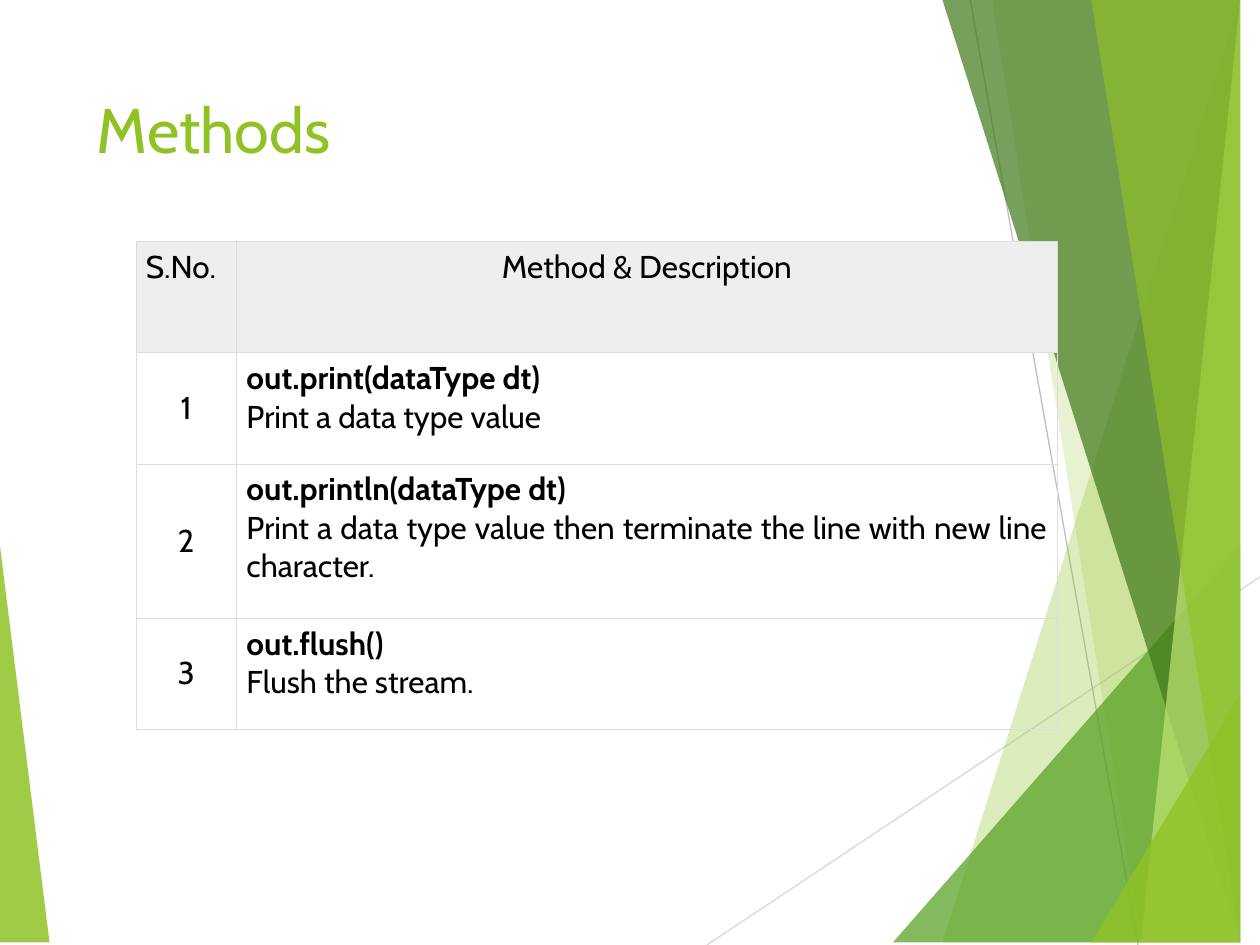
from lxml import etree
from pptx import Presentation
from pptx.dml.color import RGBColor
from pptx.enum.shapes import MSO_CONNECTOR
from pptx.enum.text import MSO_ANCHOR, PP_ALIGN
from pptx.oxml.ns import qn
from pptx.util import Cm, Pt

STRAIGHT = MSO_CONNECTOR.STRAIGHT
TOP, MIDDLE = MSO_ANCHOR.TOP, MSO_ANCHOR.MIDDLE
LEFT, CENTER, JUSTIFY = PP_ALIGN.LEFT, PP_ALIGN.CENTER, PP_ALIGN.JUSTIFY
FONT = "Cabin"
COLORS = {
    "lime": "90C226", "green": "54A021", "forest": "3F7819", "pale": "C0E474",
    "ray_light": "D9D9D9", "ray_dark": "BFBFBF",
    "text": "000000", "header": "EEEEEE", "border": "DDDDDD",
}
W, H = 25.4, 19.05
R, T = 25.43, -0.03  # facets run slightly past the right and top edges


def add_facet(s, color, alpha, points):
    builder = s.shapes.build_freeform(*points[0], scale=Cm(1))
    builder.add_line_segments(points[1:], close=True)
    sp = builder.convert_to_shape()
    sp.shadow.inherit = False
    sp.fill.solid()
    sp.fill.fore_color.rgb = RGBColor.from_string(COLORS[color])
    clr = sp.fill._xPr.find(qn("a:solidFill"))[0]
    etree.SubElement(clr, qn("a:alpha"), val=str(alpha * 1000))
    sp.line.fill.background()


def add_run(p, text, size, color, bold=False):
    r = p.add_run()
    r.text = text
    r.font.name, r.font.size, r.font.bold = FONT, Pt(size), bold
    r.font.color.rgb = RGBColor.from_string(COLORS[color])


prs = Presentation()
prs.slide_width, prs.slide_height = Cm(W), Cm(H)
s = prs.slides.add_slide(prs.slide_layouts[6])

# Left facet
add_facet(s, "lime", 85, [(T, 11.15), (1.24, 19.08), (T, H)])

# Thin rays
for color, x1, y1, x2, y2 in [("ray_light", 14.25, H, R, 11.61),
                              ("ray_dark", 19.56, 0, 22.94, H)]:
    ray = s.shapes.add_connector(STRAIGHT, Cm(x1), Cm(y1), Cm(x2), Cm(y2))
    ray.line.color.rgb = RGBColor.from_string(COLORS[color])
    ray.line.width = Pt(0.75)
    etree.SubElement(ray._element.spPr, qn("a:effectLst"))

# Right facets, back to front
facets = [
    ("lime", 30, [(24.77, 0), (19.15, H), (25.45, 19.08), (R, 0.03)]),
    ("lime", 20, [(20.02, T), (23.37, H), (R, H), (R, T)]),
    ("green", 72, [(18.44, H), (W, 10.9), (R, H)]),
    ("forest", 70, [(19.48, T), (24.64, H), (R, H), (R, T)]),
    ("pale", 70, [(24.92, T), (23.04, H), (R, H), (W, T)]),
    ("lime", 65, [(22.43, T), (25.04, H), (W, H), (25.35, T)]),
    ("lime", 80, [(22.38, H), (R, 13.59), (R, H)]),
]
for color, alpha, points in facets:
    add_facet(s, color, alpha, points)

# Title
tf = s.shapes.add_textbox(Cm(1.7), Cm(1.7), Cm(17.63), Cm(3.66)).text_frame
tf.word_wrap = True
tf.vertical_anchor = TOP
add_run(tf.paragraphs[0], "Methods", 36, "lime")

# Methods table: a number, then the lines of the description
rows = [
    ("S.No.", ["Method & Description"]),
    ("1", ["out.print(dataType dt)", "Print a data type value"]),
    ("2", ["out.println(dataType dt)",
           "Print a data type value then terminate the line with new line character."]),
    ("3", ["out.flush()", "Flush the stream."]),
]
col_widths = [2.03, 16.54]
row_heights = [2.24, 2.24, 3.11, 2.24]
table = s.shapes.add_table(len(rows), len(col_widths), Cm(2.74), Cm(4.87),
                           Cm(sum(col_widths)), Cm(sum(row_heights))).table
table.first_row = table.horz_banding = False
for col, width in zip(table.columns, col_widths):
    col.width = Cm(width)
for row, height in zip(table.rows, row_heights):
    row.height = Cm(height)

for i, (number, description) in enumerate(rows):
    for j, lines in enumerate([[number], description]):
        header = i == 0
        cell = table.cell(i, j)
        cell.margin_left = cell.margin_right = Cm(0.2)
        cell.margin_top = cell.margin_bottom = Cm(0.13)
        cell.vertical_anchor = TOP if header or j else MIDDLE

        # Borders precede the fill in the cell properties
        for side in ("lnL", "lnR", "lnT", "lnB"):
            ln = etree.SubElement(cell._tc.get_or_add_tcPr(), qn("a:" + side),
                                  w=str(Pt(0.34)))
            fill = etree.SubElement(ln, qn("a:solidFill"))
            etree.SubElement(fill, qn("a:srgbClr"), val=COLORS["border"])
        if header:
            cell.fill.solid()
            cell.fill.fore_color.rgb = RGBColor.from_string(COLORS["header"])
        else:
            cell.fill.background()

        tf = cell.text_frame
        for k, text in enumerate(lines):
            p = tf.add_paragraph() if k else tf.paragraphs[0]
            if header:
                p.alignment = CENTER if j else LEFT
            else:
                p.alignment = JUSTIFY if j else CENTER
            add_run(p, text, 18, "text", bold=not header and j == 1 and k == 0)

prs.save("out.pptx")
